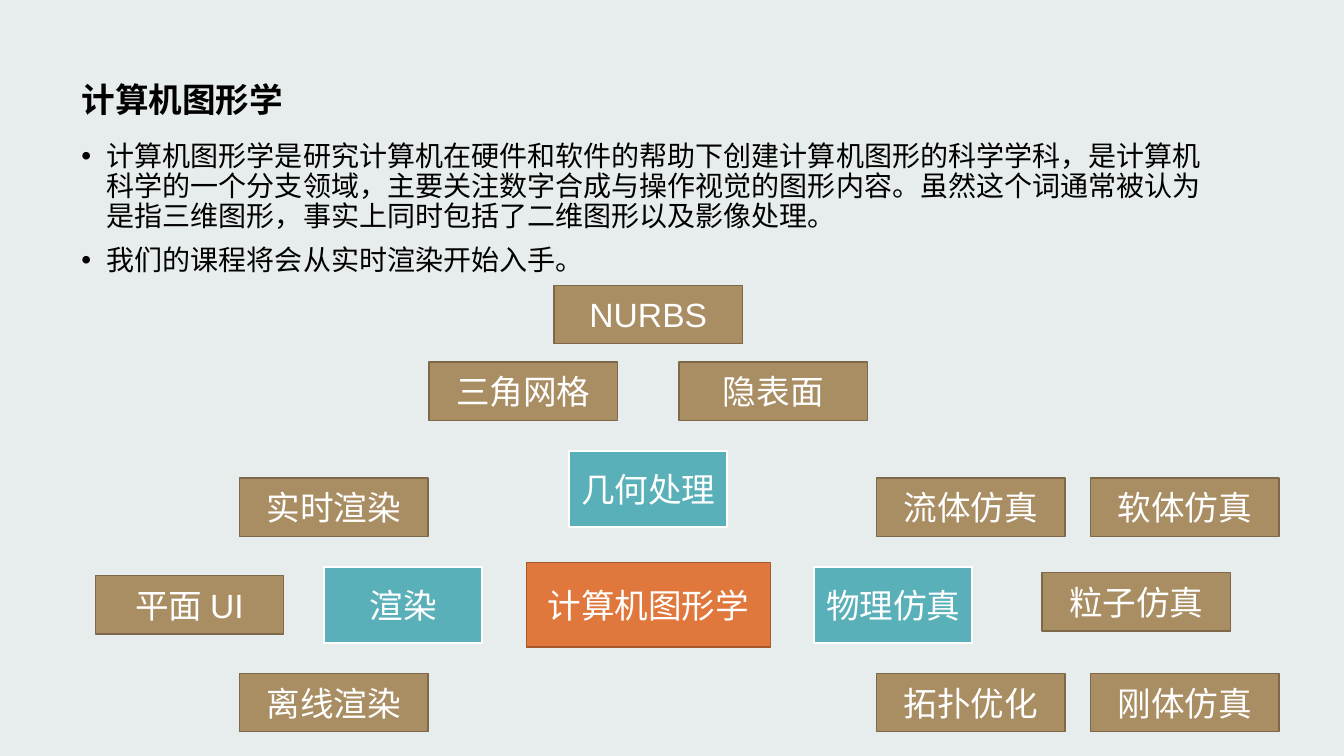
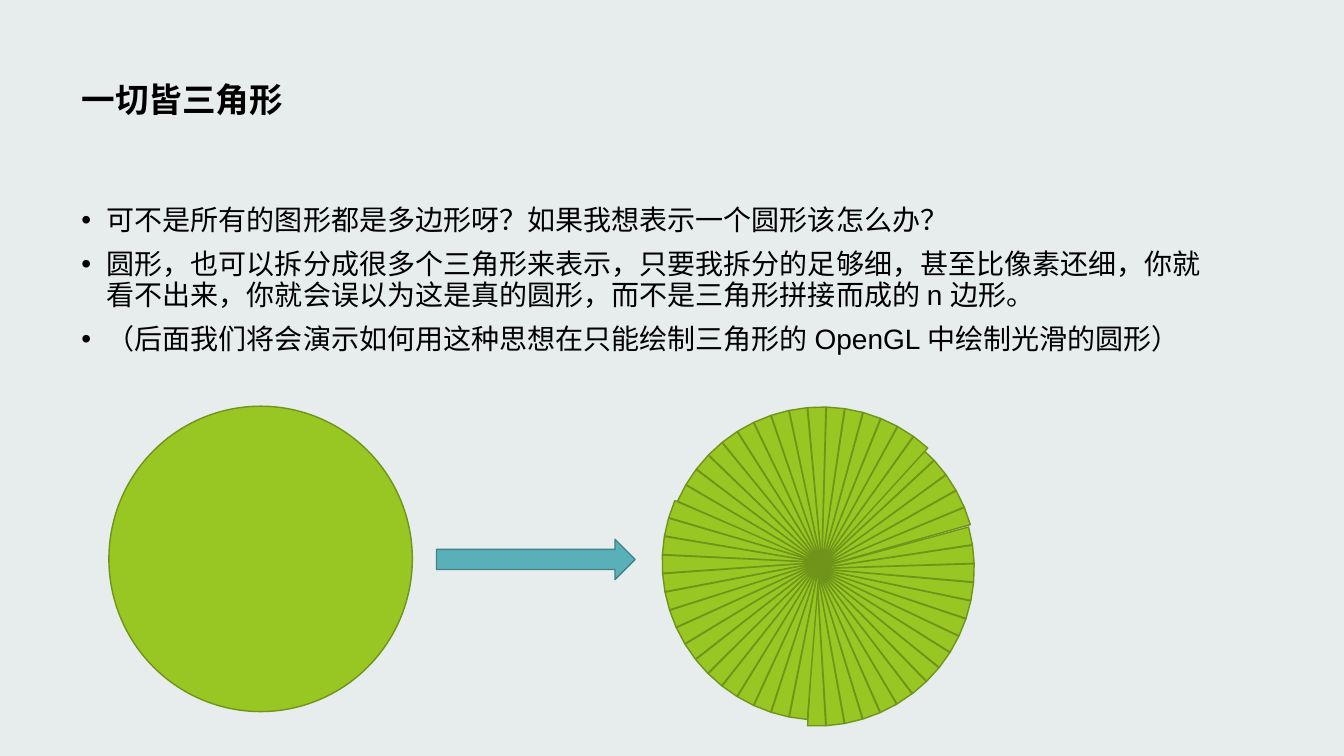
from math import cos, radians, sin

from lxml import etree
from pptx import Presentation
from pptx.dml.color import RGBColor
from pptx.enum.shapes import MSO_SHAPE
from pptx.enum.text import MSO_ANCHOR, PP_ALIGN
from pptx.oxml.ns import qn
from pptx.util import Inches, Pt

RECT, OVAL = MSO_SHAPE.RECTANGLE, MSO_SHAPE.OVAL
ARROW, WEDGE = MSO_SHAPE.RIGHT_ARROW, MSO_SHAPE.ISOSCELES_TRIANGLE
MIDDLE, TOP = MSO_ANCHOR.MIDDLE, MSO_ANCHOR.TOP
LEFT, CENTER = PP_ALIGN.LEFT, PP_ALIGN.CENTER

COLORS = {
    "back": "E7ECED", "ink": "000000", "white": "FFFFFF",
    "orange": "E0773C", "rust": "A6582C",
    "tan": "A98D63", "brown": "7D6849",
    "teal": "59B0B9", "deep": "428289",
    "green": "98C723", "moss": "70931A",
}
# kind: width, height, fill, line, line width
KINDS = {
    "hub": (2.42, 0.84, "orange", "rust", 1),
    "topic": (1.57, 0.75, "teal", "white", 1.5),
    "leaf": (1.87, 0.58, "tan", "brown", 1),
}
NODES = [
    ("计算机图形学", "hub", 0, 0),
    ("实时渲染", "leaf", -3.12, -0.97),
    ("离线渲染", "leaf", -3.12, 0.97),
    ("渲染", "topic", -2.43, 0),
    ("物理仿真", "topic", 2.43, 0),
    ("拓扑优化", "leaf", 3.2, 0.97),
    ("流体仿真", "leaf", 3.2, -0.97),
    ("几何处理", "topic", 0, -1.15),
    ("三角网格", "leaf", -1.24, -2.12),
    ("隐表面", "leaf", 1.24, -2.12),
    ("NURBS", "leaf", 0, -2.88),
    ("刚体仿真", "leaf", 5.32, 0.97),
    ("软体仿真", "leaf", 5.32, -0.97),
    ("粒子仿真", "leaf", 4.84, -0.03),
    ("平面 UI", "leaf", -4.55, 0),
]
# start angle and hub offset of each fan
FANS = [(0, -0.02, 0.03), (250.9, 0, 0.02), (109.8, 0.01, -0.03), (219, 0.03, -0.01)]
COUNT, STEP = 16, 6.8


def color(name):
    """Return the named colour."""
    return RGBColor.from_string(COLORS[name])


def write(frame, texts, size=24, font="Arial", ink="white", bold=False,
          align=CENTER, anchor=MIDDLE, lead=None, gap=0, bullet=False):
    """Fill a text frame with formatted paragraphs."""
    frame.word_wrap = True
    frame.vertical_anchor = anchor
    for num, text in enumerate(texts):
        para = frame.add_paragraph() if num else frame.paragraphs[0]
        if bullet:
            props = para._p.get_or_add_pPr()
            props.set("marL", str(Inches(0.25)))
            props.set("indent", str(-Inches(0.25)))
            etree.SubElement(props, qn("a:buFont")).set("typeface", "Arial")
            etree.SubElement(props, qn("a:buChar")).set("char", "•")
        para.alignment = align
        if lead:
            para.line_spacing = lead
        if num and gap:
            para.space_before = Pt(gap)
        run = para.add_run()
        run.text = text
        run.font.size = Pt(size)
        run.font.name = font
        run.font.bold = bold
        run.font.color.rgb = color(ink)


def shape(shapes, kind, box, fill, line, width=1):
    """Draw a filled and outlined preset shape."""
    item = shapes.add_shape(kind, *map(Inches, box))
    item.shadow.inherit = False
    item.fill.solid()
    item.fill.fore_color.rgb = color(fill)
    item.line.color.rgb = color(line)
    item.line.width = Pt(width)
    return item


def page(deck, title, points, top):
    """Add a slide with its title and bullet points."""
    slide = deck.slides.add_slide(deck.slide_layouts[6])
    slide.background.fill.solid()
    slide.background.fill.fore_color.rgb = color("back")
    head = slide.shapes.add_textbox(*map(Inches, (0.71, 0.28, 11.5, 1.45)))
    write(head.text_frame, [title], font="Montserrat", ink="ink", bold=True,
          align=LEFT, lead=0.9)
    body = slide.shapes.add_textbox(*map(Inches, (0.71, top, 11.5, 1.6)))
    write(body.text_frame, points, size=20, ink="ink", align=LEFT, anchor=TOP,
          lead=0.9, gap=10, bullet=True)
    return slide


def topics(slide, mid_x, mid_y):
    """Place the topic boxes around a centre point."""
    for text, kind, off_x, off_y in NODES:
        wide, high, *style = KINDS[kind]
        box = (mid_x + off_x - wide / 2, mid_y + off_y - high / 2, wide, high)
        write(shape(slide.shapes, RECT, box, *style).text_frame, [text])


def wheel(slide, mid_x, mid_y, wide=0.18, high=1.56):
    """Build a disc from fans of triangles that meet at the centre."""
    for start, off_x, off_y in FANS:
        group = slide.shapes.add_group_shape()
        for num in range(COUNT):
            turn = (start - num * STEP) % 360
            left = mid_x + off_x - sin(radians(turn)) * high / 2 - wide / 2
            top = mid_y + off_y + cos(radians(turn)) * high / 2 - high / 2
            wedge = shape(group.shapes, WEDGE, (left, top, wide, high), "green", "moss")
            wedge.rotation = turn


def circles(slide, left, top):
    """Place the smooth disc, the arrow and the disc of triangles."""
    shape(slide.shapes, ARROW, (left + 3.25, top + 1.32, 1.97, 0.4), "teal", "deep")
    shape(slide.shapes, OVAL, (left, top, 3.01, 3.03), "green", "moss")
    wheel(slide, left + 7.04, top + 1.58)


def main():
    """Build and save the deck."""
    deck = Presentation()
    deck.slide_width, deck.slide_height = Inches(13.33), Inches(7.5)
    field = page(deck, "计算机图形学", [
        "计算机图形学是研究计算机在硬件和软件的帮助下创建计算机图形的科学学科，是计算机科学的一个分支领域，"
        "主要关注数字合成与操作视觉的图形内容。虽然这个词通常被认为是指三维图形，"
        "事实上同时包括了二维图形以及影像处理。",
        "我们的课程将会从实时渲染开始入手。",
    ], 1.36)
    topics(field, 6.43, 6)
    split = page(deck, "一切皆三角形", [
        "可不是所有的图形都是多边形呀？如果我想表示一个圆形该怎么办？",
        "圆形，也可以拆分成很多个三角形来表示，只要我拆分的足够细，甚至比像素还细，你就看不出来，"
        "你就会误以为这是真的圆形，而不是三角形拼接而成的 n 边形。",
        "（后面我们将会演示如何用这种思想在只能绘制三角形的 OpenGL 中绘制光滑的圆形）",
    ], 2)
    circles(split, 1.08, 4.03)
    deck.save("out.pptx")


if __name__ == "__main__":
    main()
